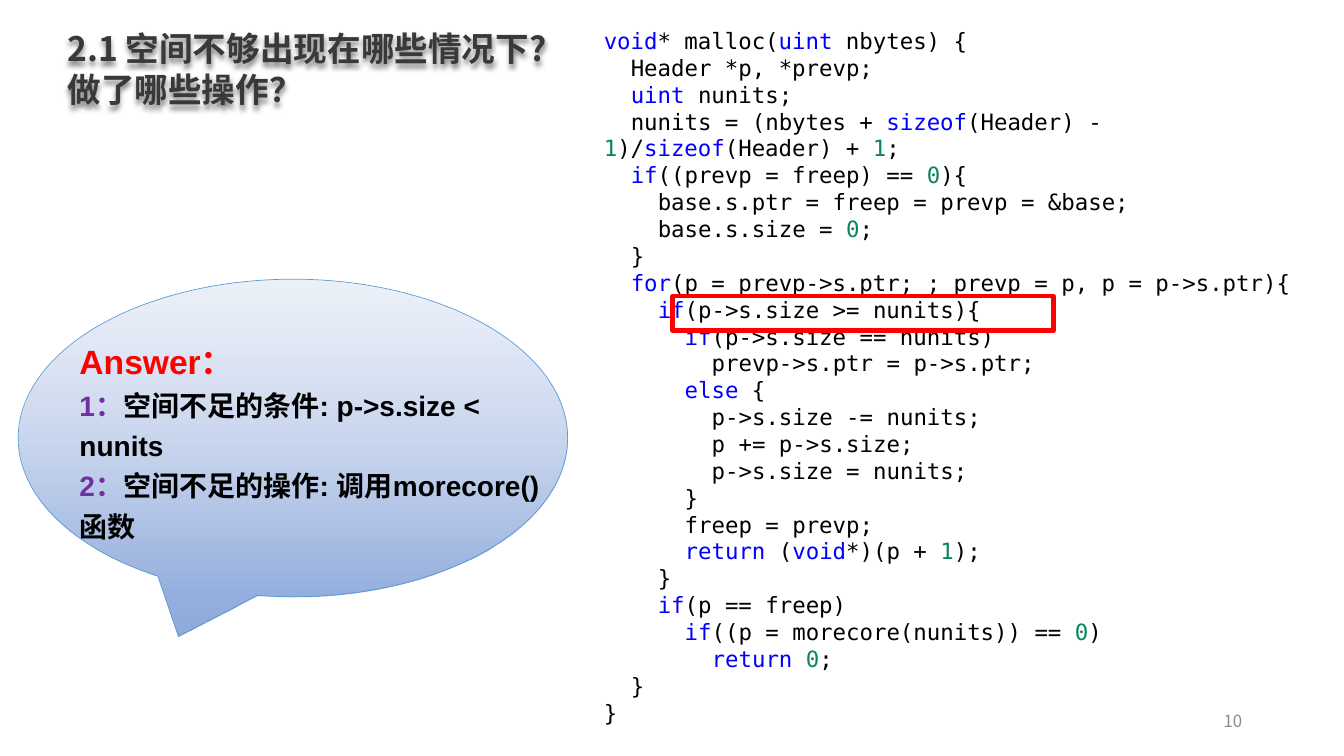
from itertools import groupby

from lxml.etree import SubElement
from pptx import Presentation
from pptx.dml.color import RGBColor
from pptx.enum.shapes import MSO_SHAPE
from pptx.enum.text import MSO_ANCHOR, MSO_AUTO_SIZE, PP_ALIGN
from pptx.oxml.ns import qn
from pptx.util import Inches, Pt

BLACK = RGBColor(0x00, 0x00, 0x00)
CHARCOAL = RGBColor(0x3B, 0x38, 0x38)
GRAY = RGBColor(0x8C, 0x8C, 0x8C)
RED = RGBColor(0xFF, 0x00, 0x00)
PURPLE = RGBColor(0x70, 0x30, 0xA0)
KEYWORD_BLUE = RGBColor(0x00, 0x00, 0xFF)
NUMBER_GREEN = RGBColor(0x09, 0x86, 0x58)
BALLOON_TOP = RGBColor(0xDA, 0xE3, 0xF3)
BALLOON_BOTTOM = RGBColor(0x8F, 0xAA, 0xDC)
BALLOON_LINE = RGBColor(0x5B, 0x9B, 0xD5)

CJK_FONT = "Noto Sans CJK SC"
CODE_FONT = "DejaVu Sans Mono"
CODE_INDENT = Pt(19.27)
KEYWORDS = {"void", "uint", "sizeof", "if", "for", "else", "return"}

TITLE_LINES = ["2.1 空间不够出现在哪些情况下?", "做了哪些操作？"]
ANSWERS = [
    ("1：", "空间不足的条件: p->s.size < nunits"),
    ("2：", "空间不足的操作: 调用morecore()函数"),
]
CODE = """\
void* malloc(uint nbytes) {
  Header *p, *prevp;
  uint nunits;
  nunits = (nbytes + sizeof(Header) - 1)/sizeof(Header) + 1;
  if((prevp = freep) == 0){
    base.s.ptr = freep = prevp = &base;
    base.s.size = 0;
  }
  for(p = prevp->s.ptr; ; prevp = p, p = p->s.ptr){
    if(p->s.size >= nunits){
      if(p->s.size == nunits)
        prevp->s.ptr = p->s.ptr;
      else {
        p->s.size -= nunits;
        p += p->s.size;
        p->s.size = nunits;
      }
      freep = prevp;
      return (void*)(p + 1);
    }
    if(p == freep)
      if((p = morecore(nunits)) == 0)
        return 0;
  }
}"""


def box(left, top, width, height):
    return Inches(left), Inches(top), Inches(width), Inches(height)


def next_paragraph(frame, index):
    return frame.paragraphs[0] if index == 0 else frame.add_paragraph()


def format_paragraph(paragraph, font_name, size, color=None, bold=False, spacing=None):
    font = paragraph.font
    font.name, font.size, font.bold = font_name, Pt(size), bold
    if color is not None:
        font.color.rgb = color
    if spacing:
        paragraph.line_spacing = Pt(spacing)
    defaults = paragraph._p.pPr.find(qn("a:defRPr"))
    defaults.find(qn("a:latin")).addnext(
        defaults.makeelement(qn("a:ea"), {"typeface": CJK_FONT}))


def add_run(paragraph, text, color):
    run = paragraph.add_run()
    run.text = text
    run.font.color.rgb = color


def add_text_frame(slide, area):
    frame = slide.shapes.add_textbox(*area).text_frame
    frame.word_wrap = True
    return frame


def add_text_shadow(shape):
    """Shadow an unfilled shape, so that it falls from its letters."""
    shape.fill.background()
    effects = SubElement(shape._element.spPr, qn("a:effectLst"))
    shadow = SubElement(effects, qn("a:outerShdw"), blurRad="50800",
                        dist="38100", dir="5400000", algn="t", rotWithShape="0")
    color = SubElement(shadow, qn("a:srgbClr"), val="000000")
    SubElement(color, qn("a:alpha"), val="50000")


def format_title(slide):
    title = slide.shapes.title
    title.left, title.top, title.width, title.height = box(0.57, 0.22, 5.45, 0.91)
    frame = title.text_frame
    frame.word_wrap = True
    frame.auto_size = MSO_AUTO_SIZE.SHAPE_TO_FIT_TEXT
    frame.vertical_anchor = MSO_ANCHOR.TOP
    for index, line in enumerate(TITLE_LINES):
        paragraph = next_paragraph(frame, index)
        paragraph.text = line
        paragraph.alignment = PP_ALIGN.LEFT
        format_paragraph(paragraph, CJK_FONT, 24, CHARCOAL, True, 29.2)
    add_text_shadow(title)


def add_balloon(slide):
    balloon = slide.shapes.add_shape(MSO_SHAPE.OVAL_CALLOUT, *box(0.18, 2.77, 5.45, 3.15))
    balloon.shadow.inherit = False
    balloon.fill.gradient()
    balloon.fill.gradient_angle = 270
    for stop, color, position in zip(balloon.fill.gradient_stops,
                                     (BALLOON_TOP, BALLOON_BOTTOM), (0, 1)):
        stop.color.rgb = color
        stop.position = position
    top_color = balloon._element.spPr.find(".//" + qn("a:srgbClr"))
    SubElement(top_color, qn("a:alpha"), val="50000")
    balloon.line.color.rgb = BALLOON_LINE
    balloon.line.width = Pt(0.5)


def add_answer(slide):
    frame = add_text_frame(slide, box(0.69, 3.25, 4.94, 2.18))
    heading = frame.paragraphs[0]
    heading.text = "Answer："
    format_paragraph(heading, "Arial", 24, RED, True, 34.7)
    for number, answer in ANSWERS:
        paragraph = frame.add_paragraph()
        format_paragraph(paragraph, "Arial", 20, bold=True, spacing=28.9)
        add_run(paragraph, number, PURPLE)
        add_run(paragraph, answer, BLACK)


def token_color(token):
    if token in KEYWORDS:
        return KEYWORD_BLUE
    return NUMBER_GREEN if token.isdigit() else BLACK


def add_code(slide):
    frame = add_text_frame(slide, box(5.89, 0.22, 7.45, 7.1))
    frame.auto_size = MSO_AUTO_SIZE.SHAPE_TO_FIT_TEXT
    for index, line in enumerate(CODE.splitlines()):
        code = line.lstrip()
        level = (len(line) - len(code)) // 2
        paragraph = next_paragraph(frame, index)
        format_paragraph(paragraph, CODE_FONT, 16, spacing=19.2)
        paragraph._p.pPr.set("marL", "0")
        paragraph._p.pPr.set("indent", str(level * CODE_INDENT))
        tokens = ["".join(letters) for _, letters in groupby(code, str.isalnum)]
        for color, same_color in groupby(tokens, token_color):
            add_run(paragraph, "".join(same_color), color)


def add_highlight(slide):
    highlight = slide.shapes.add_shape(MSO_SHAPE.RECTANGLE, *box(6.67, 2.94, 3.78, 0.34))
    highlight.shadow.inherit = False
    highlight.fill.background()
    highlight.line.color.rgb = RED
    highlight.line.width = Pt(3)


def add_page_number(slide):
    frame = add_text_frame(slide, box(9.42, 6.95, 3, 0.4))
    frame.vertical_anchor = MSO_ANCHOR.MIDDLE
    paragraph = frame.paragraphs[0]
    paragraph.text = "10"
    paragraph.alignment = PP_ALIGN.RIGHT
    format_paragraph(paragraph, CJK_FONT, 12, GRAY)


def main():
    presentation = Presentation()
    presentation.slide_width = Inches(13.33)
    presentation.slide_height = Inches(7.5)
    slide = presentation.slides.add_slide(presentation.slide_layouts.get_by_name("Title Only"))
    format_title(slide)
    add_balloon(slide)
    add_answer(slide)
    add_code(slide)
    add_highlight(slide)
    add_page_number(slide)
    presentation.save("out.pptx")


if __name__ == "__main__":
    main()
